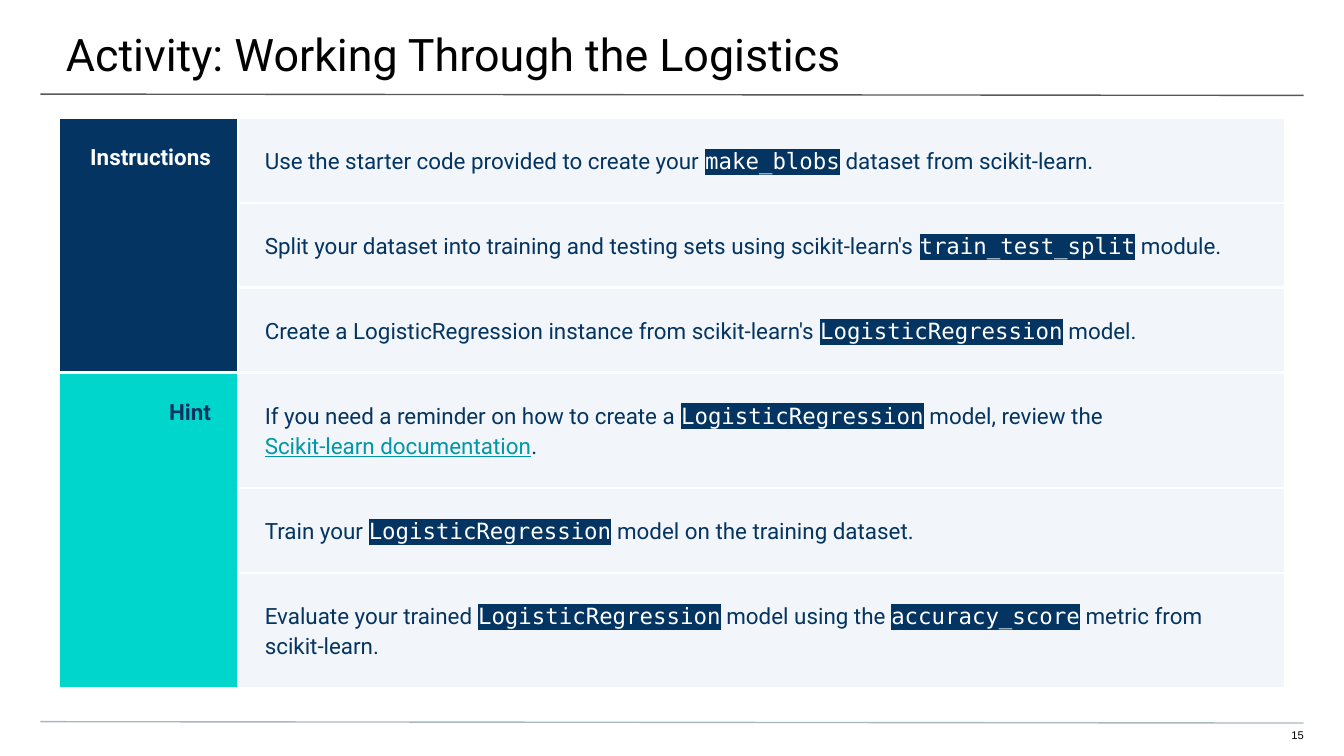
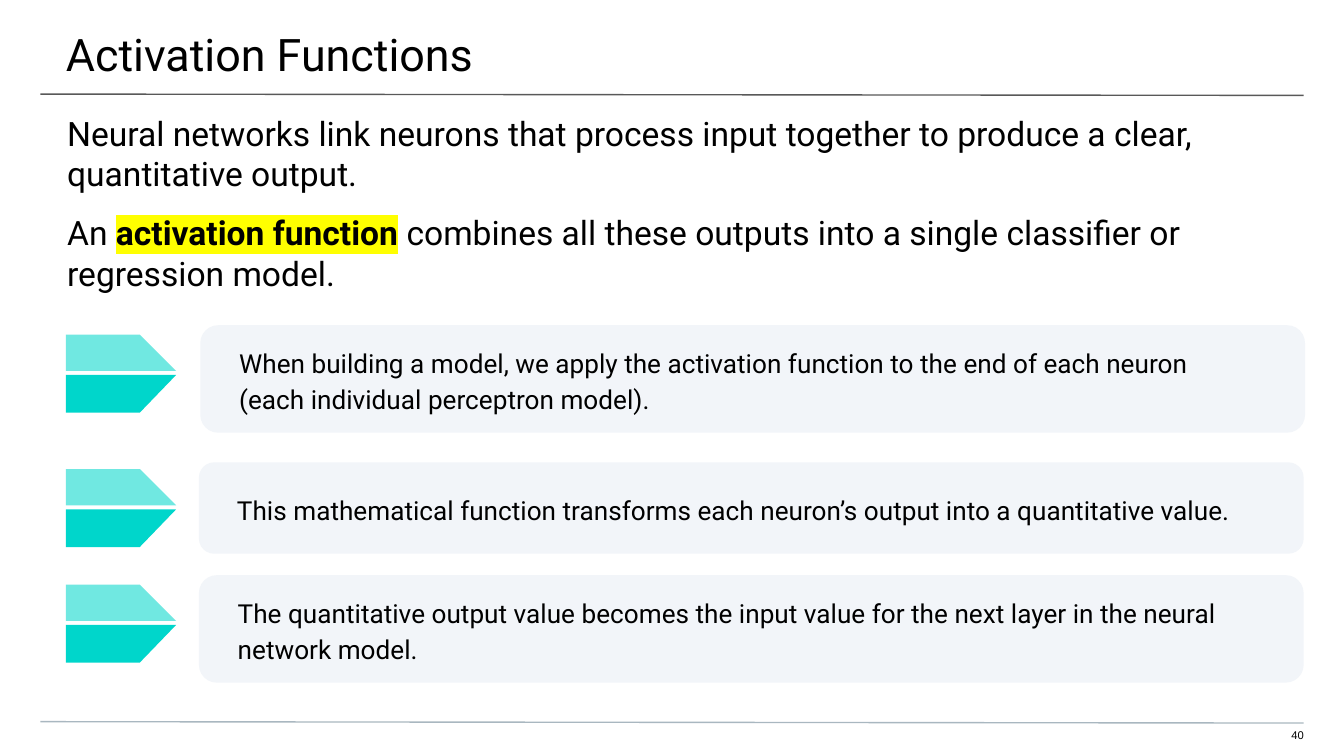
from pptx import Presentation
from pptx.dml.color import RGBColor
from pptx.enum.shapes import MSO_CONNECTOR, MSO_SHAPE
from pptx.enum.text import MSO_ANCHOR, MSO_AUTO_SIZE, PP_ALIGN
from pptx.oxml.ns import qn
from pptx.util import Inches, Pt
from lxml.etree import Element, SubElement

HUES = {
    "white": "FFFFFF", "black": "000000", "navy": "043461", "teal": "00D6CB",
    "pale": "F2F5F9", "link": "0097A7", "mark": "FFFF00",
    "rule": "595959", "foot": "A9B7C0",
}
FONT, MONO = "Roboto", "DejaVu Sans Mono"

TASKS = {
    "title": "Activity: Working Through the Logistics",
    "page": "15",
    "groups": [
        ("Instructions", "navy", "white", [
            [("Use the starter code provided to create your ", ""), ("make_blobs", "code"),
             (" dataset from scikit-learn.", "")],
            [("Split your dataset into training and testing sets using scikit-learn's ", ""),
             ("train_test_split", "code"), (" module.", "")],
            [("Create a LogisticRegression instance from scikit-learn's ", ""),
             ("LogisticRegression", "code"), (" model.", "")],
        ]),
        ("Hint", "teal", "navy", [
            [("If you need a reminder on how to create a ", ""), ("LogisticRegression", "code"),
             (" model, review the \n", ""), ("Scikit-learn documentation", "link"), (".", "")],
            [("Train your ", ""), ("LogisticRegression", "code"),
             (" model on the training dataset.", "")],
            [("Evaluate your trained ", ""), ("LogisticRegression", "code"),
             (" model using the ", ""), ("accuracy_score", "code"),
             (" metric from scikit-learn.", "")],
        ]),
    ],
    "cols": (1.33, 7.79),
    "high": 0.33,
}
STEPS = {
    "title": "Activation Functions",
    "page": "40",
    "intro": [
        [("Neural networks link neurons that process input together to produce a clear, "
          "quantitative output.", "")],
        [("An ", ""), ("activation function", "mark"),
         (" combines all these outputs into a single classifier or regression model.", "")],
    ],
    "cards": [
        (1.49, 2.42, 0.8, 2.49, "When building a model, we apply the activation function to "
         "the end of each neuron \n(each individual perceptron model)."),
        (1.48, 3.44, 0.68, 3.49, "This mathematical function transforms each neuron’s output "
         "into a quantitative value."),
        (1.48, 4.28, 0.8, 4.35, "The quantitative output value becomes the input value for "
         "the next layer in the neural network model."),
    ],
}


def hue(name):
    return RGBColor.from_string(HUES[name])


def paint(shape, name):
    shape.fill.solid()
    shape.fill.fore_color.rgb = hue(name)


def style(run, size, ink, face=FONT, bold=False):
    font = run.font
    font.size, font.name, font.bold = Pt(size), face, bold
    font.color.rgb = hue(ink)


def shade(run, name):
    mark = Element(qn("a:highlight"))
    SubElement(mark, qn("a:srgbClr"), val=HUES[name])
    run.font.fill._xPr.find(qn("a:solidFill")).addnext(mark)


def write(para, parts, size, ink):
    for text, kind in parts:
        for num, line in enumerate(text.split("\n")):
            if num:
                para.add_line_break()
            if not line:
                continue
            run = para.add_run()
            run.text = line
            if kind == "code":
                style(run, size, "white", MONO)
                shade(run, "navy")
            elif kind == "link":
                style(run, size, "link")
                run.font.underline = True
            elif kind == "mark":
                style(run, size, ink, bold=True)
                shade(run, "mark")
            else:
                style(run, size, ink)


def inset(box, left, top, right, low):
    box.margin_left, box.margin_top = Inches(left), Inches(top)
    box.margin_right, box.margin_bottom = Inches(right), Inches(low)


def place(shape, *spot):
    shape.left, shape.top, shape.width, shape.height = map(Inches, spot)


def rule(slide, top, name):
    line = slide.shapes.add_connector(
        MSO_CONNECTOR.STRAIGHT, Inches(0.3), Inches(top), Inches(9.7), Inches(top + 0.01))
    line.line.color.rgb = hue(name)
    line.line.width = Pt(0.75)
    SubElement(line._element.spPr, qn("a:effectLst"))


def start(deck, data):
    slide = deck.slides.add_slide(deck.slide_layouts[5])
    rule(slide, 0.7, "rule")
    rule(slide, 5.37, "foot")

    title = slide.shapes.title
    place(title, -0.01, 0, 10.03, 0.58)
    frame = title.text_frame
    frame.text = data["title"]
    frame.word_wrap, frame.auto_size = True, MSO_AUTO_SIZE.NONE
    frame.vertical_anchor = MSO_ANCHOR.TOP
    inset(frame, 0.5, 0.2, 0.3, 0.1)
    para = frame.paragraphs[0]
    para.alignment = PP_ALIGN.LEFT
    style(para.runs[0], 24, "black")

    page = slide.shapes.add_textbox(*map(Inches, (9.41, 5.42, 0.29, 0.12))).text_frame
    page.text = data["page"]
    page.word_wrap = True
    inset(page, 0, 0, 0, 0.1)
    page.paragraphs[0].alignment = PP_ALIGN.RIGHT
    style(page.paragraphs[0].runs[0], 6, "black", "Arial")
    return slide


def edge(cell):
    props = cell._tc.get_or_add_tcPr()
    for num, side in enumerate(("lnL", "lnR", "lnT", "lnB")):
        line = Element(qn("a:" + side), w=str(Pt(1.5)))
        fill = SubElement(line, qn("a:solidFill"))
        SubElement(fill, qn("a:srgbClr"), val=HUES["white"])
        props.insert(num, line)


def add_tasks(slide, data):
    cols = data["cols"]
    count = sum(len(group[-1]) for group in data["groups"])
    spot = 0.44, 0.88, 3.28, 3.28
    grid = slide.shapes.add_table(count, len(cols), *map(Inches, spot))
    table = grid.table
    table.first_row = table.horz_banding = False
    for col, wide in zip(table.columns, cols):
        col.width = Inches(wide)
    for row in table.rows:
        row.height = Inches(data["high"])
    place(grid, *spot)

    top = 0
    for label, back, ink, items in data["groups"]:
        for num, parts in enumerate(items, top):
            for cell, tint in zip(table.rows[num].cells, (back, "pale")):
                paint(cell, tint)
                inset(cell, 0.2, 0.2, 0.2, 0.2)
                edge(cell)
            para = table.cell(num, 1).text_frame.paragraphs[0]
            para.line_spacing = 1.15
            write(para, parts, 12, "navy")
        head = table.cell(top, 0)
        head.merge(table.cell(top + len(items) - 1, 0))
        head.text_frame.text = label
        para = head.text_frame.paragraphs[0]
        para.alignment = PP_ALIGN.RIGHT
        style(para.runs[0], 12, ink, bold=True)
        top += len(items)


def add_half(slide, base, rim, alpha=None):
    spots = [(0.49, rim), (0.49, base), (1.31, base), (1.04, rim)]
    first, *rest = [(Inches(x), Inches(y)) for x, y in spots]
    pen = slide.shapes.build_freeform(*first)
    pen.add_line_segments(rest)
    half = pen.convert_to_shape()
    half.shadow.inherit = False
    paint(half, "teal")
    half.line.fill.background()
    if alpha:
        tint = half._element.spPr.find(qn("a:solidFill"))[0]
        SubElement(tint, qn("a:alpha"), val=str(alpha * 1000))


def add_card(slide, left, top, high, tip, text):
    card = slide.shapes.add_shape(
        MSO_SHAPE.ROUNDED_RECTANGLE, *map(Inches, (left, top, 8.22, high)))
    card.adjustments[0] = 0.167
    card.shadow.inherit = False
    paint(card, "pale")
    card.line.fill.background()
    frame = card.text_frame
    frame.word_wrap, frame.vertical_anchor = True, MSO_ANCHOR.MIDDLE
    inset(frame, 0.25, 0.1, 0.1, 0.1)
    para = frame.paragraphs[0]
    para.alignment, para.line_spacing = PP_ALIGN.LEFT, 1.15
    write(para, [(text, "")], 14, "black")
    add_half(slide, tip + 0.27, tip, 56)
    add_half(slide, tip + 0.3, tip + 0.58)


def add_steps(slide, data):
    frame = slide.shapes.add_textbox(*map(Inches, (0, 0.74, 10, 0.4))).text_frame
    frame.word_wrap = True
    inset(frame, 0.5, 0.1, 0.5, 0)
    for num, parts in enumerate(data["intro"]):
        para = frame.add_paragraph() if num else frame.paragraphs[0]
        if num:
            para.space_before = Pt(10)
        write(para, parts, 18, "black")
    for card in data["cards"]:
        add_card(slide, *card)


def main():
    deck = Presentation()
    deck.slide_width = Inches(10)
    deck.slide_height = deck.slide_width * 9 // 16
    add_tasks(start(deck, TASKS), TASKS)
    add_steps(start(deck, STEPS), STEPS)
    deck.save("out.pptx")


if __name__ == "__main__":
    main()
